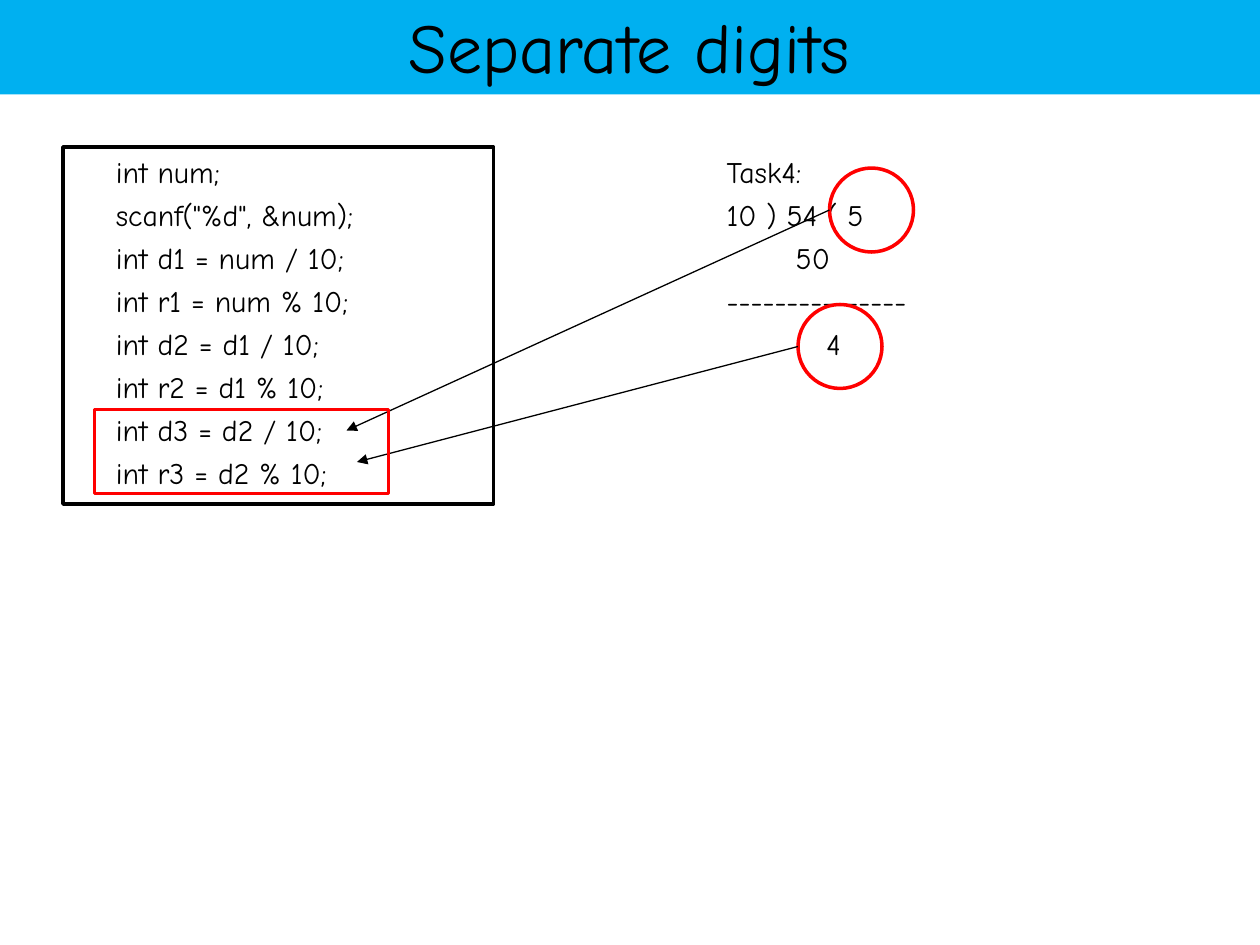
from lxml.etree import SubElement
from pptx import Presentation
from pptx.dml.color import RGBColor
from pptx.enum.shapes import MSO_CONNECTOR, MSO_SHAPE
from pptx.enum.text import MSO_ANCHOR, MSO_AUTO_SIZE, PP_ALIGN
from pptx.oxml.ns import qn
from pptx.util import Pt

BLACK = RGBColor(0x00, 0x00, 0x00)
WHITE = RGBColor(0xFF, 0xFF, 0xFF)
RED = RGBColor(0xFF, 0x00, 0x00)
BLUE = RGBColor(0x00, 0xB0, 0xF0)
FONT = "Comic Neue"

# Each line is its text and its left indent.
TITLE = [("Separate digits", 0)]
CODE = [(line, 23) for line in (
    "int num;",
    'scanf("%d", &num);',
    "int d1 = num / 10;",
    "int r1 = num % 10;",
    "int d2 = d1 / 10;",
    "int r2 = d1 % 10;",
    "int d3 = d2 / 10;",
    "int r3 = d2 % 10;",
)]
TASK = [
    ("Task4:", 0),
    ("10 ) 54 ( 5", 0),
    ("50", 39.5),
    ("---------------", 0),
    ("4", 57),
]

# Left, top, width, height
HEAD_BOX = (-1, -2, 721, 56)
CODE_BOX = (36, 84, 246, 204)
TASK_BOX = (408, 84, 246, 384)
MARK_BOX = (54, 234, 168, 48)
RING = 48
# Left and top of each ringed digit, then the arrow tip in the code
LINKS = [
    ((474, 96), (198, 246)),
    ((456, 174), (204, 264)),
]


def write(shape, box, lines, size=17, gap=4.2, align=PP_ALIGN.LEFT,
          anchor=MSO_ANCHOR.TOP, fill=WHITE):
    shape.left, shape.top, shape.width, shape.height = map(Pt, box)
    shape.fill.solid()
    shape.fill.fore_color.rgb = fill
    frame = shape.text_frame
    frame.auto_size = MSO_AUTO_SIZE.NONE
    frame.word_wrap = True
    frame.vertical_anchor = anchor
    for i, (text, indent) in enumerate(lines):
        para = frame.add_paragraph() if i else frame.paragraphs[0]
        para.text = text
        para.alignment = align
        para.space_before = Pt(gap if i else 0)
        props = para._p.get_or_add_pPr()
        props.set("marL", str(Pt(indent)))
        props.set("indent", "0")
        SubElement(props, qn("a:buNone"))
        font = para.font
        font.name, font.size = FONT, Pt(size)
        font.color.rgb = BLACK


def frame_in_red(slide, kind, box):
    shape = slide.shapes.add_shape(kind, *map(Pt, box))
    shape.shadow.inherit = False
    shape.fill.background()
    shape.line.color.rgb = RED
    shape.line.width = Pt(2)


def arrow(slide, start, end):
    line = slide.shapes.add_connector(
        MSO_CONNECTOR.STRAIGHT, *map(Pt, start + end))
    line.line.color.rgb = BLACK
    line.line.width = Pt(0.75)
    SubElement(line.line._get_or_add_ln(), qn("a:tailEnd"), type="triangle")
    SubElement(line._element.spPr, qn("a:effectLst"))


def main():
    deck = Presentation()
    deck.slide_width, deck.slide_height = Pt(720), Pt(540)
    slide = deck.slides.add_slide(deck.slide_layouts.get_by_name("Two Content"))
    title, code, task = list(slide.placeholders)[:3]

    write(title, HEAD_BOX, TITLE, size=40, align=PP_ALIGN.CENTER,
          anchor=MSO_ANCHOR.MIDDLE, fill=BLUE)
    write(code, CODE_BOX, CODE)
    code.line.color.rgb = BLACK
    code.line.width = Pt(2)
    write(task, TASK_BOX, TASK)

    for (left, top), tip in LINKS:
        frame_in_red(slide, MSO_SHAPE.OVAL, (left, top, RING, RING))
        arrow(slide, (left, top + RING / 2), tip)
    frame_in_red(slide, MSO_SHAPE.RECTANGLE, MARK_BOX)

    deck.save("out.pptx")


if __name__ == "__main__":
    main()
